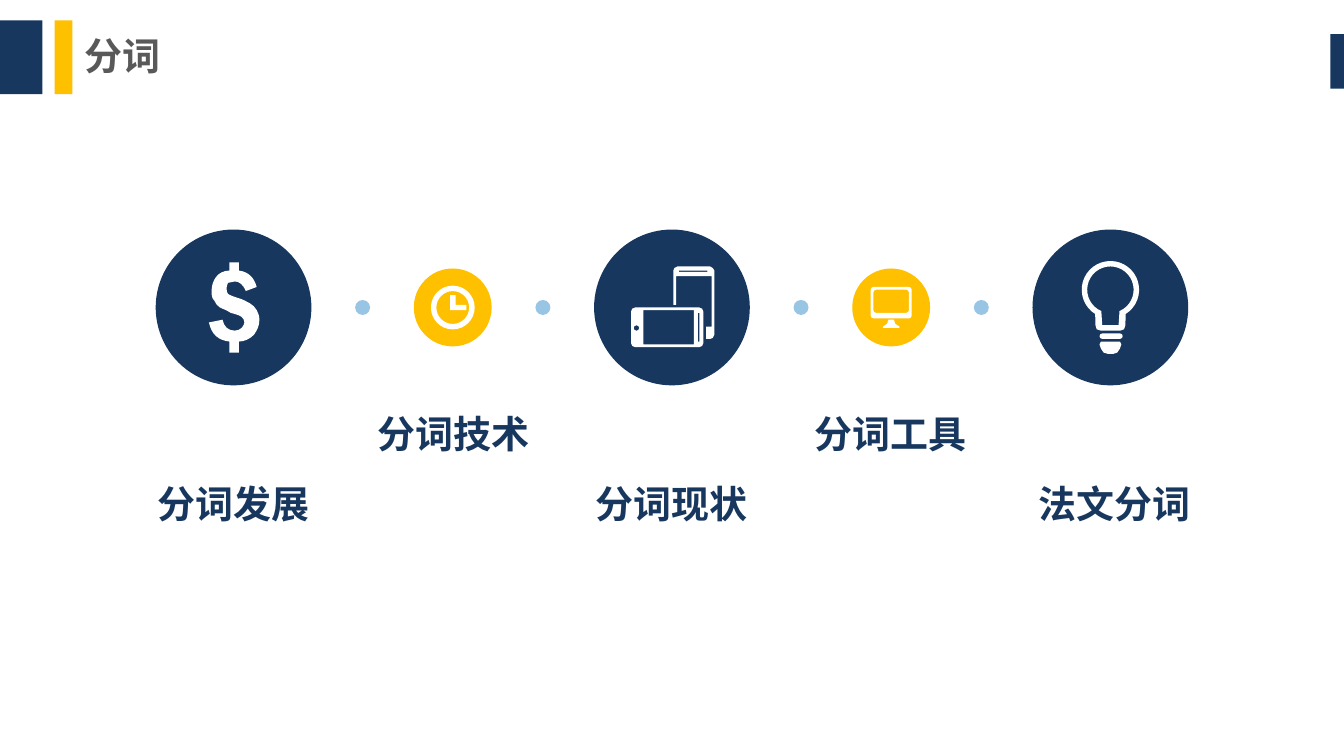
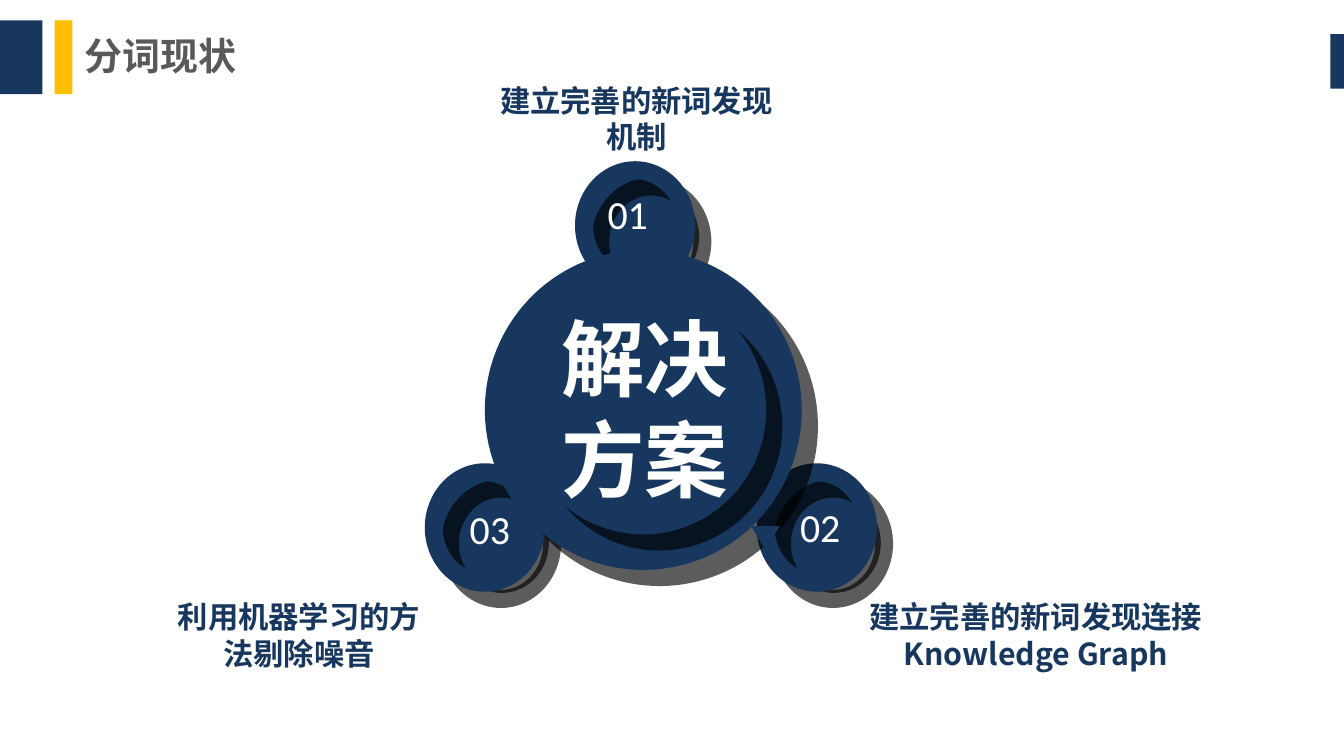
"""Build two slides on word segmentation."""
import math

from lxml import etree
from pptx import Presentation
from pptx.dml.color import RGBColor
from pptx.enum import shapes as kinds, text as modes
from pptx.oxml import ns
from pptx.util import Inches, Pt

NAVY = RGBColor(0x17, 0x37, 0x5E)
GOLD = RGBColor(0xFF, 0xC0, 0x00)
BLUE = RGBColor(0x00, 0x70, 0xC0)
GREY = RGBColor(0x59, 0x59, 0x59)
WHITE = RGBColor(0xFF, 0xFF, 0xFF)

LATIN, CJK = "Calibri", "Noto Sans CJK SC"
TITLE_FONT = {"name": LATIN, "size": Pt(20), "bold": True}
LABEL_FONT = {"name": CJK, "size": Pt(20), "bold": True}
NOTE_FONT = {"name": CJK, "size": Pt(16), "bold": True}
HUB_FONT = {"name": CJK, "size": Pt(44), "bold": True}
NUMBER_FONT = {"name": LATIN, "size": Pt(21), "bold": False}

CENTRE = modes.PP_ALIGN.CENTER
LEFT = modes.PP_ALIGN.LEFT
MIDDLE = modes.MSO_ANCHOR.MIDDLE
OVAL = kinds.MSO_SHAPE.OVAL
RECTANGLE = kinds.MSO_SHAPE.RECTANGLE

CHAIN_CENTRE, CHAIN_Y, CHAIN_SPAN, DOT_OFFSET = 4.92, 2.25, 3.21, 0.66

DOLLAR = [[
    (0.17, 0.02), (0.18, 0.04, 0.19, 0.06, 0.19, 0.09),
    (0.19, 0.14, 0.17, 0.17, 0.15, 0.2), (0.12, 0.23, 0.08, 0.25, 0.04, 0.25),
    (0.04, 0.33), (-0.03, 0.33), (-0.03, 0.25),
    (-0.11, 0.24, -0.16, 0.2, -0.18, 0.11), (-0.08, 0.09),
    (-0.07, 0.14, -0.04, 0.17, 0.01, 0.17), (0.03, 0.17, 0.05, 0.16, 0.06, 0.15),
    (0.07, 0.14, 0.08, 0.12, 0.08, 0.11), (0.08, 0.09, 0.07, 0.08, 0.06, 0.07),
    (0.05, 0.06, 0.02, 0.05, -0.02, 0.04), (-0.05, 0.02, -0.08, 0.01, -0.1, 0),
    (-0.12, -0.01, -0.13, -0.03, -0.14, -0.05),
    (-0.16, -0.07, -0.16, -0.09, -0.16, -0.12),
    (-0.16, -0.16, -0.15, -0.19, -0.13, -0.22),
    (-0.11, -0.25, -0.07, -0.27, -0.03, -0.27),
    (-0.03, -0.33), (0.04, -0.33), (0.04, -0.27),
    (0.11, -0.26, 0.15, -0.22, 0.17, -0.15), (0.09, -0.12),
    (0.07, -0.17, 0.04, -0.19, 0.01, -0.19),
    (-0.01, -0.19, -0.02, -0.19, -0.04, -0.18),
    (-0.05, -0.16, -0.05, -0.15, -0.05, -0.14),
    (-0.05, -0.12, -0.05, -0.11, -0.04, -0.1),
    (-0.03, -0.09, 0, -0.08, 0.03, -0.07), (0.07, -0.06, 0.1, -0.04, 0.12, -0.03),
    (0.14, -0.02, 0.16, 0, 0.17, 0.02),
]]


def arc(x, y, radius, start=0, end=360):
    """Return a start point and cubic curves along a clockwise arc, in degrees."""
    count = math.ceil((end - start) / 90)
    turn = math.radians(end - start) / count
    reach = radius * 4 / 3 * math.tan(turn / 4)
    steps = [(x + radius * math.cos(math.radians(start)),
              y + radius * math.sin(math.radians(start)))]
    for i in range(count):
        a = math.radians(start) + turn * i
        b = a + turn
        x1, y1 = x + radius * math.cos(a), y + radius * math.sin(a)
        x2, y2 = x + radius * math.cos(b), y + radius * math.sin(b)
        steps.append((x1 - reach * math.sin(a), y1 + reach * math.cos(a),
                      x2 + reach * math.sin(b), y2 - reach * math.cos(b), x2, y2))
    return steps


def box(left, top, width, height, radius=0.0):
    """Return the outline of a rectangle with rounded corners."""
    right, bottom, r = left + width, top + height, radius
    corners = [(right - r, bottom - r), (left + r, bottom - r),
               (left + r, top + r), (right - r, top + r)]
    if not radius:
        return corners
    return [step for i, (x, y) in enumerate(corners)
            for step in arc(x, y, r, 90 * i, 90 * i + 90)]


def mirror(points):
    """Complete a symmetric outline from its right half."""
    return points + [(-x, y) for x, y in reversed(points)]


CLOCK = [
    arc(0, 0, 0.16), arc(0, 0, 0.12),
    [(-0.02, -0.09), (0.02, -0.09), (0.02, -0.02), (0.1, -0.02), (0.1, 0.02), (-0.02, 0.02)],
]
PHONES = [
    [(0.01, -0.02), (0.01, -0.27), (0.01, -0.28, 0.02, -0.3, 0.04, -0.3), (0.28, -0.3),
     (0.29, -0.3, 0.31, -0.28, 0.31, -0.27), (0.31, 0.2),
     (0.31, 0.22, 0.29, 0.23, 0.28, 0.23), (0.25, 0.23),
     (0.25, 0.14), (0.29, 0.14), (0.29, -0.23), (0.03, -0.23), (0.03, -0.02)],
    box(0.05, -0.27, 0.21, 0.01), box(-0.3, 0, 0.53, 0.29, 0.03),
    box(0.19, 0.04, 0.01, 0.21), arc(-0.26, 0.15, 0.02), box(-0.21, 0.02, 0.37, 0.25),
]
MONITOR = [
    box(-0.15, -0.15, 0.3, 0.23, 0.02), box(-0.13, -0.13, 0.26, 0.17, 0.02),
    mirror([(0.02, 0.09), (0.03, 0.12), (0.06, 0.14), (0.06, 0.15)]),
]
BULB = [
    arc(0, -0.13, 0.21, 122, 418) + mirror([(0.11, 0.13), (0.1, 0.16), (0.07, 0.17)]),
    arc(0, -0.13, 0.17, 113, 427) + mirror([(0.06, 0.13)]),
    box(-0.08, 0.19, 0.17, 0.04, 0.02),
    mirror([(0.07, 0.25), (0.08, 0.27), (0.07, 0.3), (0.05, 0.33), (0.02, 0.34)]),
]


def paint(shape, colour, opacity=None):
    """Give a shape a flat fill without line or shadow."""
    shape.shadow.inherit = False
    shape.fill.solid()
    shape.fill.fore_color.rgb = colour
    shape.line.fill.background()
    if opacity is not None:
        tint = shape.fill._xPr.find(".//" + ns.qn("a:srgbClr"))
        etree.SubElement(tint, ns.qn("a:alpha"), val=str(opacity * 1000))
    return shape


def add_preset(shapes, kind, place, colour, opacity=None):
    """Add a flat preset shape."""
    return paint(shapes.add_shape(kind, *map(Inches, place)), colour, opacity)


def add_disc(shapes, x, y, diameter, colour, opacity=None):
    """Add a circle around a centre."""
    place = (x - diameter / 2, y - diameter / 2, diameter, diameter)
    add_preset(shapes, OVAL, place, colour, opacity)


def bend(shape, outlines):
    """Merge the lines that stand for control points into cubic curves."""
    outline_path = shape._element.find(".//" + ns.qn("a:path"))
    lines = iter(outline_path.findall(ns.qn("a:lnTo")))
    for step in (step for outline in outlines for step in outline[1:]):
        first, *others = [next(lines) for _ in range(len(step) // 2)]
        if others:
            first.tag = ns.qn("a:cubicBezTo")
        for line in others:
            first.append(line[0])
            outline_path.remove(line)


def add_icon(shapes, x, y, outlines):
    """Draw white outlines around a centre as one shape."""
    placed = [[(Inches(x + step[i]), Inches(y + step[i + 1]))
               for step in outline for i in range(0, len(step), 2)]
              for outline in outlines]
    builder = shapes.build_freeform(*placed[0][0], scale=1.0)
    for i, points in enumerate(placed):
        if i:
            builder.move_to(*points[0])
        builder.add_line_segments(points[1:], close=True)
    icon = paint(builder.convert_to_shape(), WHITE)
    bend(icon, outlines)


def cast_shadow(shape):
    """Give a shape a hard shadow to the lower right."""
    effects = shape._element.spPr.find(ns.qn("a:effectLst"))
    shadow = etree.SubElement(effects, ns.qn("a:outerShdw"), blurRad="0",
                              dist=str(Pt(12.1)), dir="2700000", algn="tl", rotWithShape="0")
    tint = etree.SubElement(shadow, ns.qn("a:srgbClr"), val="000000")
    etree.SubElement(tint, ns.qn("a:alpha"), val="64000")


def write(frame, lines, font, colour, align=LEFT, spacing=None):
    """Write formatted paragraphs into a text frame."""
    for i, line in enumerate(lines):
        paragraph = frame.paragraphs[0] if i == 0 else frame.add_paragraph()
        paragraph.alignment = align
        paragraph.line_spacing = spacing
        run = paragraph.add_run()
        run.text = line
        for key, value in font.items():
            setattr(run.font, key, value)
        run.font.color.rgb = colour
        etree.SubElement(run._r.get_or_add_rPr(), ns.qn("a:ea"), typeface=CJK)


def add_text(shapes, place, lines, font, colour, align=LEFT, spacing=None):
    """Add a wrapping text box."""
    frame = shapes.add_textbox(*map(Inches, place)).text_frame
    frame.word_wrap = True
    frame.auto_size = modes.MSO_AUTO_SIZE.SHAPE_TO_FIT_TEXT
    if spacing:
        frame.vertical_anchor = MIDDLE
    write(frame, lines, font, colour, align, spacing)


def add_titled_slide(deck, heading):
    """Add a slide with the shared bands and title."""
    slide = deck.slides.add_slide(deck.slide_layouts[5])
    for place, colour in (((0, 0.15, 0.31, 0.54), NAVY),
                          ((0.4, 0.15, 0.13, 0.54), GOLD),
                          ((9.74, 0.25, 0.1, 0.4), NAVY)):
        add_preset(slide.shapes, RECTANGLE, place, colour)
    title = slide.shapes.title
    spot = {"left": 0.62, "top": 0.24, "width": 1.77, "height": 0.33}
    for side, length in spot.items():
        setattr(title, side, Inches(length))
    frame = title.text_frame
    layout = {"margin_left": 0, "margin_right": 0, "margin_top": 0, "margin_bottom": 0,
              "vertical_anchor": MIDDLE, "auto_size": modes.MSO_AUTO_SIZE.NONE}
    for key, value in layout.items():
        setattr(frame, key, value)
    write(frame, [heading], TITLE_FONT, GREY)
    return slide


def add_topic_chain(shapes):
    """Add the five linked topics, alternating large and small."""
    topics = [("分词发展", DOLLAR, 1.05), ("分词技术", CLOCK, 2.66), ("分词现状", PHONES, 4.26),
              ("分词工具", MONITOR, 5.86), ("法文分词", BULB, 7.5)]
    for i, (label, icon, label_left) in enumerate(topics):
        x = CHAIN_CENTRE + (i - 2) * CHAIN_SPAN / 2
        small = i % 2 == 1
        add_disc(shapes, x, CHAIN_Y, 0.57 if small else 1.14, GOLD if small else NAVY)
        if small:
            for offset in (-DOT_OFFSET, DOT_OFFSET):
                add_disc(shapes, x + offset, CHAIN_Y, 0.11, BLUE, 40)
        add_icon(shapes, x, CHAIN_Y, icon)
        add_text(shapes, (label_left, 2.79 if small else 3.3, 1.32, 0.6), [label],
                 LABEL_FONT, NAVY, CENTRE, spacing=1.5)


def add_node(shapes, number, ring_place, disc_top, number_place):
    """Add a numbered ring with a raised disc."""
    node = shapes.add_group_shape().shapes
    left, top = ring_place
    cast_shadow(add_preset(node, OVAL, (left + 0.1, disc_top, 0.69, 0.73), NAVY))
    ring = add_preset(node, kinds.MSO_SHAPE.DONUT, (left, top, 0.88, 0.94), NAVY)
    ring.adjustments[0] = 0.15
    cast_shadow(ring)
    add_text(node, (*number_place, 0.6, 0.45), [number], NUMBER_FONT, WHITE)


def add_hub(shapes):
    """Add the large central disc and its words."""
    hub = shapes.add_group_shape().shapes
    for place in ((3.55, 1.83, 2.32, 2.34), (3.81, 2.09, 1.8, 1.82)):
        cast_shadow(add_preset(hub, OVAL, place, NAVY))
    add_text(hub, (4.01, 2.2, 1.84, 1.57), ["解决", "方案"], HUB_FONT, WHITE)


def add_solution(shapes):
    """Add the hub with three numbered measures around it."""
    add_node(shapes, "03", (3.11, 3.39), 3.49, (3.34, 3.64))
    add_node(shapes, "01", (4.21, 1.18), 1.25, (4.35, 1.34))
    add_node(shapes, "02", (5.54, 3.39), 3.49, (5.76, 3.63))
    add_hub(shapes)
    pointer = add_preset(shapes, kinds.MSO_SHAPE.ISOSCELES_TRIANGLE,
                         (5.5, 3.85, 0.21, 0.18), NAVY)
    pointer.rotation = 180
    for note, left, top, width in (("利用机器学习的方法剔除噪音", 1.14, 4.33, 2.1),
                                   ("建立完善的新词发现机制", 3.5, 0.55, 2.32),
                                   ("建立完善的新词发现连接Knowledge Graph", 6.23, 4.33, 2.71)):
        add_text(shapes, (left, top, width, 0.64), [note], NOTE_FONT, NAVY, CENTRE)


def main():
    """Build and save the deck."""
    deck = Presentation()
    deck.slide_width, deck.slide_height = Inches(9.84), Inches(5.51)
    add_topic_chain(add_titled_slide(deck, "分词").shapes)
    add_solution(add_titled_slide(deck, "分词现状").shapes)
    deck.save("out.pptx")


if __name__ == "__main__":
    main()
